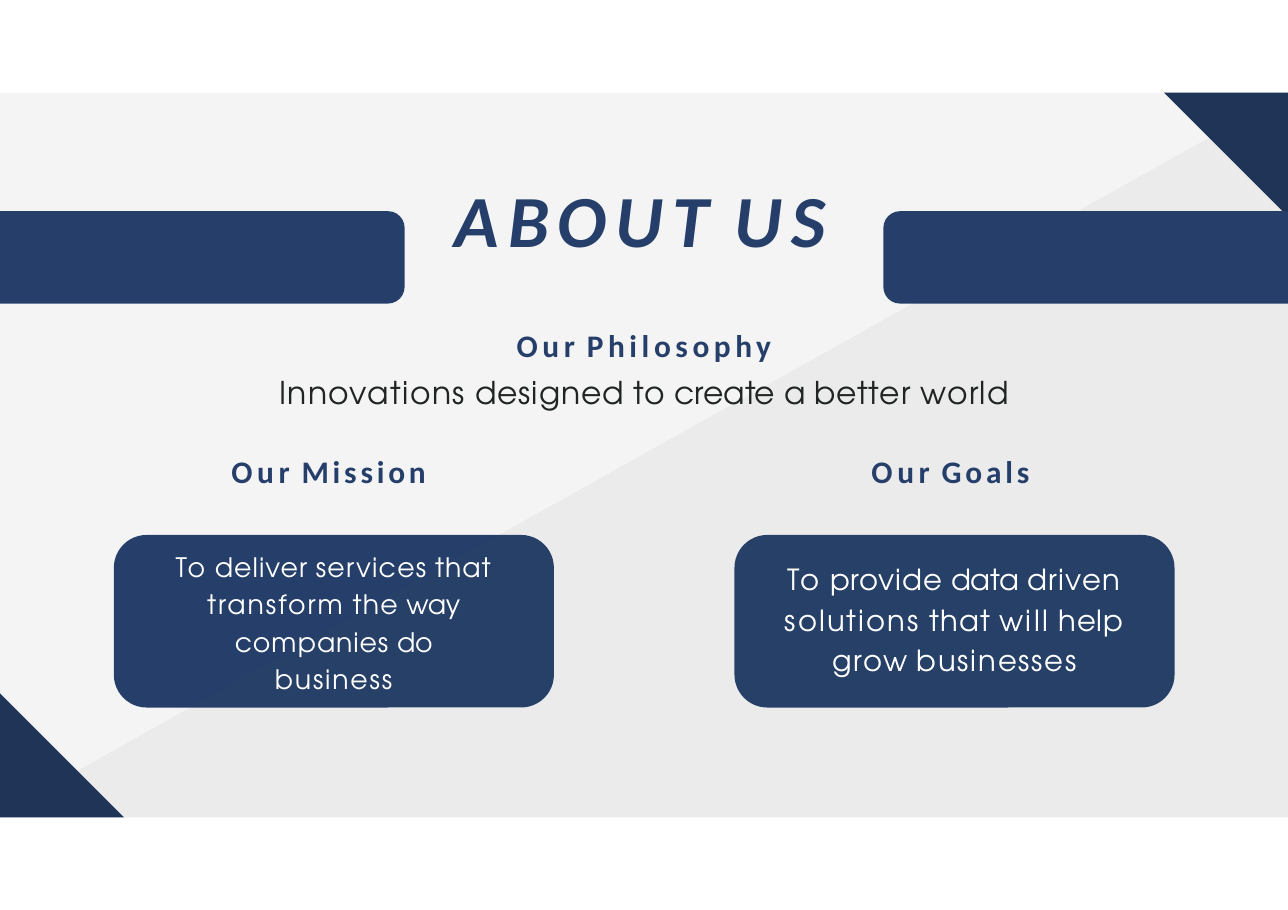
"""Build the About Us slide with its philosophy, mission and goals."""
from lxml import etree
from pptx import Presentation
from pptx.dml import color as col
from pptx.enum import shapes, text
from pptx.oxml import ns
from pptx.util import Pt

WIDE, HIGH = 841.68, 594.72
TOP, BASE = 60.6, 534.2
BLUE, NAVY, INK, WHITE = "253F6A", "203458", "202423", "FFFFFF"
HEAD, BODY = "Calibri", "TeX Gyre Adventor"
KIND = shapes.MSO_SHAPE
MID = text.PP_ALIGN.CENTER


def rgb(code):
    return col.RGBColor.from_string(code)


class Deck:
    """Hold the style and the current slide."""

    def __init__(self):
        self.prs = Presentation()
        self.prs.slide_width, self.prs.slide_height = Pt(WIDE), Pt(HIGH)
        self.slide = self.prs.slides.add_slide(self.prs.slide_layouts[6])

    def paint(self, item, fill, alpha=None):
        item.shadow.inherit = False
        item.fill.solid()
        item.fill.fore_color.rgb = rgb(fill)
        item.line.fill.background()
        if alpha:
            tone = item.fill._xPr.find(".//" + ns.qn("a:srgbClr"))
            etree.SubElement(tone, ns.qn("a:alpha"), val=str(alpha * 1000))

    def shape(self, kind, x, y, w, h, fill, turn=0, adj=()):
        item = self.slide.shapes.add_shape(kind, Pt(x), Pt(y), Pt(w), Pt(h))
        item.rotation = turn
        for i, val in enumerate(adj):
            item.adjustments[i] = val
        self.paint(item, fill)

    def band(self, x, y, w, h, turn):
        self.shape(KIND.ROUND_2_SAME_RECTANGLE, x + (w - h) / 2, y + (h - w) / 2,
                   h, w, BLUE, turn, (0.18, 0))

    def outline(self, points, fill, alpha):
        spots = [(Pt(x), Pt(y)) for x, y in points]
        form = self.slide.shapes.build_freeform(*spots[0])
        form.add_line_segments(spots[1:], close=True)
        self.paint(form.convert_to_shape(), fill, alpha)

    def text(self, x, y, w, h, paras):
        box = self.slide.shapes.add_textbox(Pt(x), Pt(y), Pt(w), Pt(h))
        frame = box.text_frame
        frame.word_wrap = True
        for side in ("left", "top", "right", "bottom"):
            setattr(frame, "margin_" + side, 0)
        for i, (runs, form, font) in enumerate(paras):
            para = frame.add_paragraph() if i else frame.paragraphs[0]
            for key, val in form.items():
                setattr(para, key, val)
            for words, gap in runs:
                core = words.rstrip()
                self.run(para, core, gap, font)
                if core != words:
                    self.run(para, " ", 0, font)

    def run(self, para, words, gap, font):
        run = para.add_run()
        run.text = words
        for key, val in font.items():
            if key == "color":
                run.font.color.rgb = rgb(val)
            else:
                setattr(run.font, key, val)
        run._r.get_or_add_rPr().set("spc", str(round(gap * 100)))


def style(name, size, color, **more):
    return dict(name=name, size=Pt(size), color=color, **more)


def main():
    deck = Deck()
    deck.shape(KIND.RECTANGLE, 0, TOP, WIDE, BASE - TOP, "F4F4F4")
    for x in (74.4, 480):
        deck.shape(KIND.ROUNDED_RECTANGLE, x, 349.6, 287.6, 112.8, BLUE, adj=(0.19,))
    deck.outline([(WIDE, BASE), (0, BASE), (0, 532), (WIDE, 61.2)], "535353", 5)

    side = 81
    for x, y, turn in ((0, BASE - side, 0), (WIDE - side, TOP, 180)):
        deck.shape(KIND.RIGHT_TRIANGLE, x, y, side, side, NAVY, turn)
    span = 264.4
    for x, turn in ((0, 90), (WIDE - span, 270)):
        deck.band(x, 138, span, 60.4, turn)

    title = style(HEAD, 48, BLUE, bold=True, italic=True)
    deck.text(297.3, 113.6, 249.2, 58.6, [([("ABOUT ", 5.7), ("US", 5.8)], {}, title)])

    loose = dict(alignment=MID, line_spacing=1.17)
    mission = [("To ", 1.3), ("deliver ", 0.7), ("services ", 0.8), ("that ", 0.6),
               ("transform ", 1.3), ("the ", 0.8), ("way ", -0.2),
               ("companies ", 0.6), ("do ", -0.2), ("business", 1.2)]
    goals = [("To ", 1.4), ("provide ", 0.6), ("data ", 0), ("driven ", 0.8),
             ("solutions ", 1.4), ("that ", 0.8), ("will ", 1.6), ("help ", 0.6),
             ("grow ", 1), ("businesses", 1.2)]
    deck.text(113.3, 356.1, 209.6, 98.5, [(mission, loose, style(BODY, 17.5, WHITE))])
    deck.text(509.8, 363, 228.2, 80.5, [(goals, loose, style(BODY, 19, WHITE))])

    head = style(HEAD, 20.5, BLUE, bold=True)
    creed = [("Innovations ", 0.9), ("designed ", 0.6), ("to ", 0.5), ("create ", 0),
             ("a ", -2), ("better ", 0.7), ("world", 0.8)]
    deck.text(162, 213, 517.7, 60, [
        ([("Our ", 3), ("Philosophy", 3)], dict(alignment=MID), head),
        (creed, dict(alignment=MID, space_before=Pt(6)), style(BODY, 20.5, INK)),
    ])
    for x, word in ((151.2, "Mission"), (569.5, "Goals")):
        deck.text(x, 295.6, 140, 25, [([("Our ", 3), (word, 2.5)], {}, head)])
    deck.prs.save("out.pptx")


if __name__ == "__main__":
    main()
